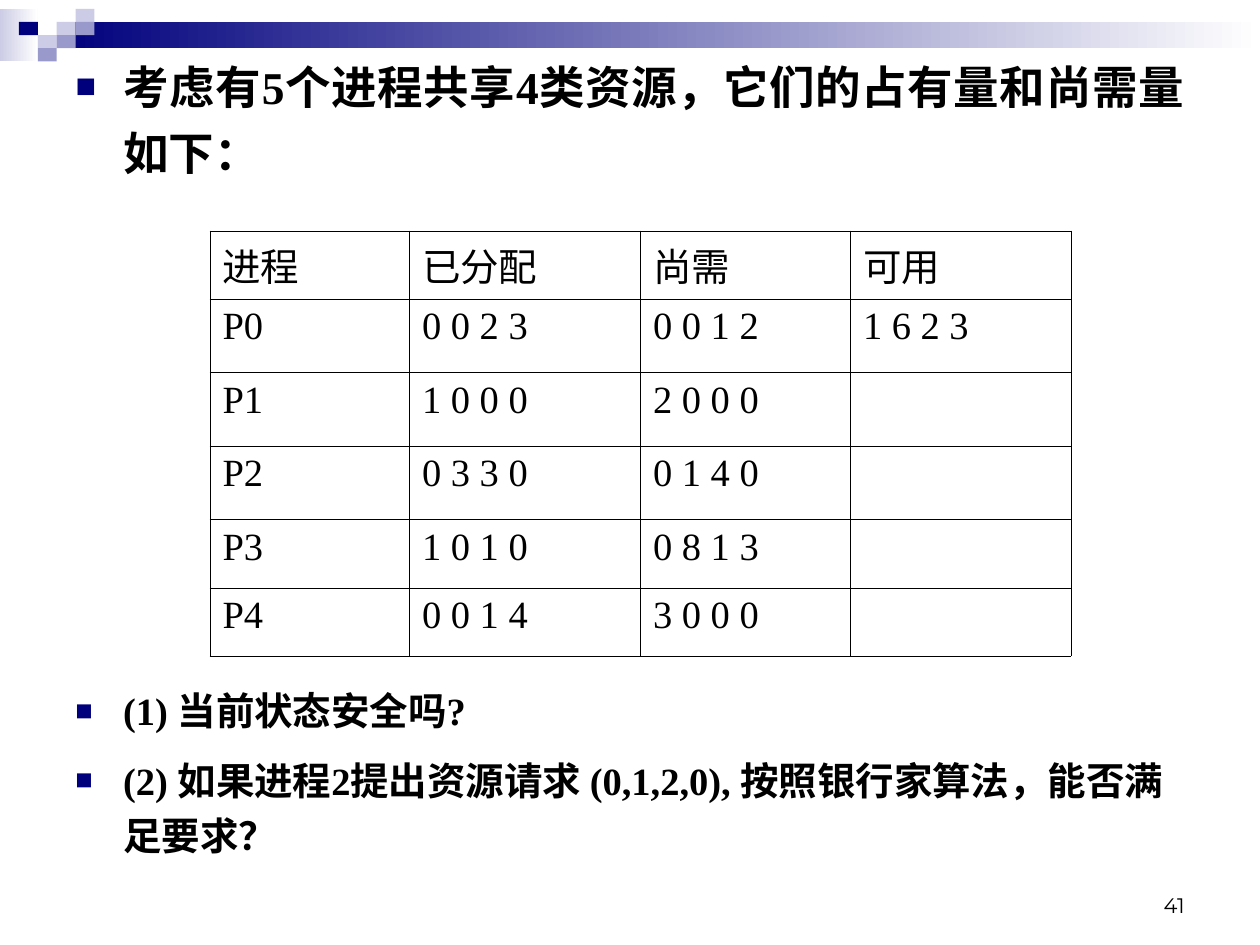
from dataclasses import dataclass

from lxml import etree
from pptx import Presentation
from pptx import util as u
from pptx.dml.color import RGBColor
from pptx.enum import shapes, text
from pptx.oxml.ns import qn


@dataclass(frozen=True)
class Theme:
    navy: str = "00007D"
    violet: str = "9999CC"
    lilac: str = "CCCCE6"
    white: str = "FFFFFF"
    black: str = "000000"
    serif: str = "Times New Roman"
    sans: str = "Montserrat"
    lead: int = 26
    body: int = 22
    small: int = 12
    rule: float = 0.45


THEME = Theme()
COLUMNS, ROWS = 120, 90
UNIT = u.Inches(10) / COLUMNS
INDENT = u.Inches(0.38)

HEADS = ["进程", "已分配", "尚需", "可用"]
PROCESSES = [
    ["P0", "0 0 2 3", "0 0 1 2", "1 6 2 3"],
    ["P1", "1 0 0 0", "2 0 0 0", ""],
    ["P2", "0 3 3 0", "0 1 4 0", ""],
    ["P3", "1 0 1 0", "0 8 1 3", ""],
    ["P4", "0 0 1 4", "3 0 0 0", ""],
]


def grid(*cells):
    return [round(cell * UNIT) for cell in cells]


def add_child(parent, tag, **attributes):
    return etree.SubElement(parent, qn(tag), attributes)


def add_bullet(para):
    props = para._p.get_or_add_pPr()
    props.set("marL", str(INDENT))
    props.set("indent", str(-INDENT))
    add_child(add_child(props, "a:buClr"), "a:srgbClr", val=THEME.navy)
    add_child(props, "a:buSzPct", val="75000")
    add_child(props, "a:buFont", typeface=THEME.serif)
    add_child(props, "a:buChar", char="■")


def write(frame, lines, size, font=THEME.serif, bold=False, align=None,
          bullet=False, leading=None, gap=0):
    frame.word_wrap = True
    for index, line in enumerate(lines):
        para = frame.paragraphs[0] if index == 0 else frame.add_paragraph()
        para.alignment = align
        para.line_spacing = leading
        para.space_before = u.Pt(gap if index else 0)
        para.space_after = u.Pt(gap)
        if bullet:
            add_bullet(para)
        span = para.add_run()
        span.text = line
        span.font.size = u.Pt(size)
        span.font.name = font
        span.font.bold = bold
        span.font.color.rgb = RGBColor.from_string(THEME.black)


def add_block(page, box, *colours):
    block = page.shapes.add_shape(shapes.MSO_SHAPE.RECTANGLE, *map(round, box))
    block.shadow.inherit = False
    block.line.fill.background()
    if len(colours) == 1:
        block.fill.solid()
        block.fill.fore_color.rgb = RGBColor.from_string(colours[0])
    else:
        block.fill.gradient()
        block.fill.gradient_angle = 0
        for stop, colour in zip(block.fill.gradient_stops, colours):
            stop.color.rgb = RGBColor.from_string(colour)


def add_banner(page, box):
    left, top, width, height = box
    tile_width, tile_height = width / 5, height / 4

    def place(column, row, across, down):
        return (left + column * tile_width, top + row * tile_height,
                across * tile_width, down * tile_height)

    band_columns = COLUMNS * UNIT / tile_width - 3
    add_block(page, place(0, 0, 2, 4), THEME.lilac, THEME.white)
    add_block(page, place(3, 1, band_columns, 2), THEME.navy, THEME.white)
    for column, row, colour in [
        (3, 1, THEME.lilac), (4, 0, THEME.lilac), (4, 1, THEME.violet),
        (2, 2, THEME.lilac), (1, 1, THEME.navy), (3, 2, THEME.violet),
        (2, 3, THEME.violet),
    ]:
        add_block(page, place(column, row, 1, 1), colour)


def add_lead(page, holder, box):
    left, top, width, height = box
    add_block(page, grid(5.2, 6.25, 111.5, 21.75), THEME.white)
    holder.left, holder.top, holder.width, holder.height = box
    page.shapes._spTree.append(holder._element)
    holder.text_frame.auto_size = text.MSO_AUTO_SIZE.NONE
    write(holder.text_frame, ["考虑有5个进程共享4类资源，它们的占有量和尚需量如下："],
          THEME.lead, bold=True, align=text.PP_ALIGN.JUSTIFY, bullet=True,
          leading=1.2, gap=4.9)


def set_borders(cell):
    props = cell._tc.get_or_add_tcPr()
    for side in ("a:lnL", "a:lnR", "a:lnT", "a:lnB"):
        line = add_child(props, side, w=str(u.Pt(THEME.rule)))
        add_child(add_child(line, "a:solidFill"), "a:srgbClr", val=THEME.black)


def add_resources(page, box, widths, heights):
    rows = [HEADS, *PROCESSES]
    table = page.shapes.add_table(len(rows), len(HEADS), *box).table
    table.first_row = table.horz_banding = False
    for column, width in zip(table.columns, grid(*widths)):
        column.width = width
    for row, height, values in zip(table.rows, grid(*heights), rows):
        row.height = height
        for cell, value in zip(row.cells, values):
            set_borders(cell)
            cell.fill.background()
            if value:
                write(cell.text_frame, [value], THEME.body)


def add_text(page, box, lines, size, anchor=text.MSO_ANCHOR.TOP, **style):
    frame = page.shapes.add_textbox(*box).text_frame
    frame.vertical_anchor = anchor
    write(frame, lines, size, **style)


def build_exercise(deck):
    page = deck.slides.add_slide(deck.slide_layouts[1])
    title, holder = page.placeholders
    title._element.getparent().remove(title._element)
    add_banner(page, grid(0, 0.84, 9, 5))
    add_text(page, grid(86, 82, 28, 6), ["41"], THEME.small,
             anchor=text.MSO_ANCHOR.BOTTOM, font=THEME.sans,
             align=text.PP_ALIGN.RIGHT)
    add_lead(page, holder, grid(6, 4, 108, 24))
    add_resources(page, grid(20, 22, 82, 40), (19, 22, 20, 21),
                  (6, 7, 7, 7, 6.5, 6.5))
    add_text(page, grid(6, 64, 108, 19),
             ["(1) 当前状态安全吗?",
              "(2) 如果进程2提出资源请求 (0,1,2,0), 按照银行家算法，能否满足要求？"],
             THEME.body, bold=True, bullet=True, leading=1.2, gap=4.1)


def main():
    deck = Presentation()
    deck.slide_width, deck.slide_height = grid(COLUMNS, ROWS)
    build_exercise(deck)
    deck.save("out.pptx")


if __name__ == "__main__":
    main()
